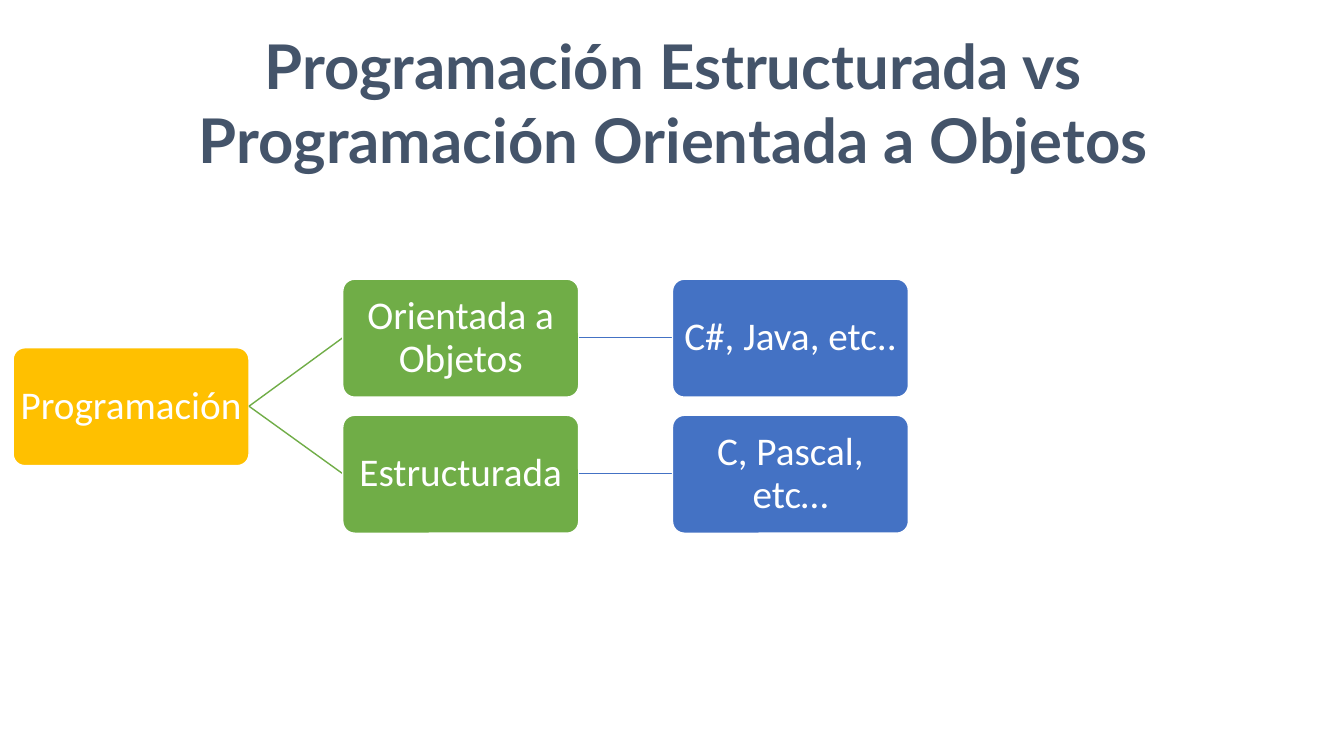
from dataclasses import dataclass

from lxml.etree import SubElement
from pptx import Presentation
from pptx.dml.color import RGBColor
from pptx.enum.shapes import MSO_CONNECTOR, MSO_SHAPE
from pptx.enum.text import MSO_ANCHOR, MSO_AUTO_SIZE, PP_ALIGN
from pptx.oxml.ns import qn
from pptx.slide import Slide
from pptx.text.text import TextFrame
from pptx.util import Emu, Pt

COLORS = {
    "title": "44546A",
    "root": "FFC000",
    "paradigm": "70AD47",
    "languages": "4472C4",
    "white": "FFFFFF",
}
NODE_W, NODE_H = 234, 117
LEFT, COLUMN_STEP = 13, 327
ROOT_TOP, UPPER_TOP, LOWER_TOP = 345, 277, 412


@dataclass(frozen=True)
class Node:
    label: str
    column: int
    top: int
    color: str
    parent: "Node | None" = None

    @property
    def left(self) -> int:
        return LEFT + self.column * COLUMN_STEP

    @property
    def middle(self) -> int:
        return self.top + NODE_H // 2


PROGRAMMING = Node("Programación", 0, ROOT_TOP, "root")
OBJECTS = Node("Orientada a Objetos", 1, UPPER_TOP, "paradigm", PROGRAMMING)
STRUCTURED = Node("Estructurada", 1, LOWER_TOP, "paradigm", PROGRAMMING)
TREE = [
    PROGRAMMING,
    OBJECTS,
    Node("C#, Java, etc..", 2, UPPER_TOP, "languages", OBJECTS),
    STRUCTURED,
    Node("C, Pascal, etc…", 2, LOWER_TOP, "languages", STRUCTURED),
]


def px(length: int) -> Emu:
    """Convert px, at 100 to the inch, into EMU."""
    return Emu(length * 9144)


def rgb(name: str) -> RGBColor:
    return RGBColor.from_string(COLORS[name])


def set_text(frame: TextFrame, text: str, font_name: str, size: int, color: str,
             spacing: float, bold: bool = False) -> None:
    frame.text = text
    frame.word_wrap = True
    frame.auto_size = MSO_AUTO_SIZE.NONE
    for paragraph in frame.paragraphs:
        paragraph.alignment = PP_ALIGN.CENTER
        paragraph.line_spacing = spacing
        for run in paragraph.runs:
            run.font.name = font_name
            run.font.size = Pt(size)
            run.font.bold = bold
            run.font.color.rgb = rgb(color)


def set_insets(frame: TextFrame, side: int, top: int) -> None:
    frame.margin_left = frame.margin_right = px(side)
    frame.margin_top = frame.margin_bottom = px(top)


def add_title(slide: Slide) -> None:
    title = slide.shapes.title
    title.left, title.top, title.width, title.height = map(px, (13, 26, 1310, 153))
    frame = title.text_frame
    set_text(frame, "Programación Estructurada vs\nProgramación Orientada a Objetos",
             "Lato", 44, "title", 1.0, bold=True)
    set_insets(frame, 5, 2)
    frame.vertical_anchor = MSO_ANCHOR.TOP


def add_branch(slide: Slide, parent: Node, child: Node) -> None:
    branch = slide.shapes.add_connector(
        MSO_CONNECTOR.STRAIGHT, px(parent.left + NODE_W), px(parent.middle),
        px(child.left), px(child.middle))
    branch.line.color.rgb = rgb(child.color)
    branch.line.width = Pt(1)
    SubElement(branch._element.spPr, qn("a:effectLst"))


def add_node(slide: Slide, node: Node) -> None:
    box = slide.shapes.add_shape(MSO_SHAPE.ROUNDED_RECTANGLE, px(node.left),
                                 px(node.top), px(NODE_W), px(NODE_H))
    box.adjustments[0] = 0.1
    box.shadow.inherit = False
    box.fill.solid()
    box.fill.fore_color.rgb = rgb(node.color)
    box.line.color.rgb = rgb("white")
    box.line.width = Pt(1)
    set_text(box.text_frame, node.label, "Calibri", 28, "white", 0.9)
    set_insets(box.text_frame, 2, 2)
    box.text_frame.vertical_anchor = MSO_ANCHOR.MIDDLE


def main() -> None:
    deck = Presentation()
    deck.slide_width, deck.slide_height = px(1333), px(750)
    slide = deck.slides.add_slide(deck.slide_layouts[5])
    add_title(slide)
    for node in TREE:
        if node.parent:
            add_branch(slide, node.parent, node)
        add_node(slide, node)
    deck.save("out.pptx")


if __name__ == "__main__":
    main()
